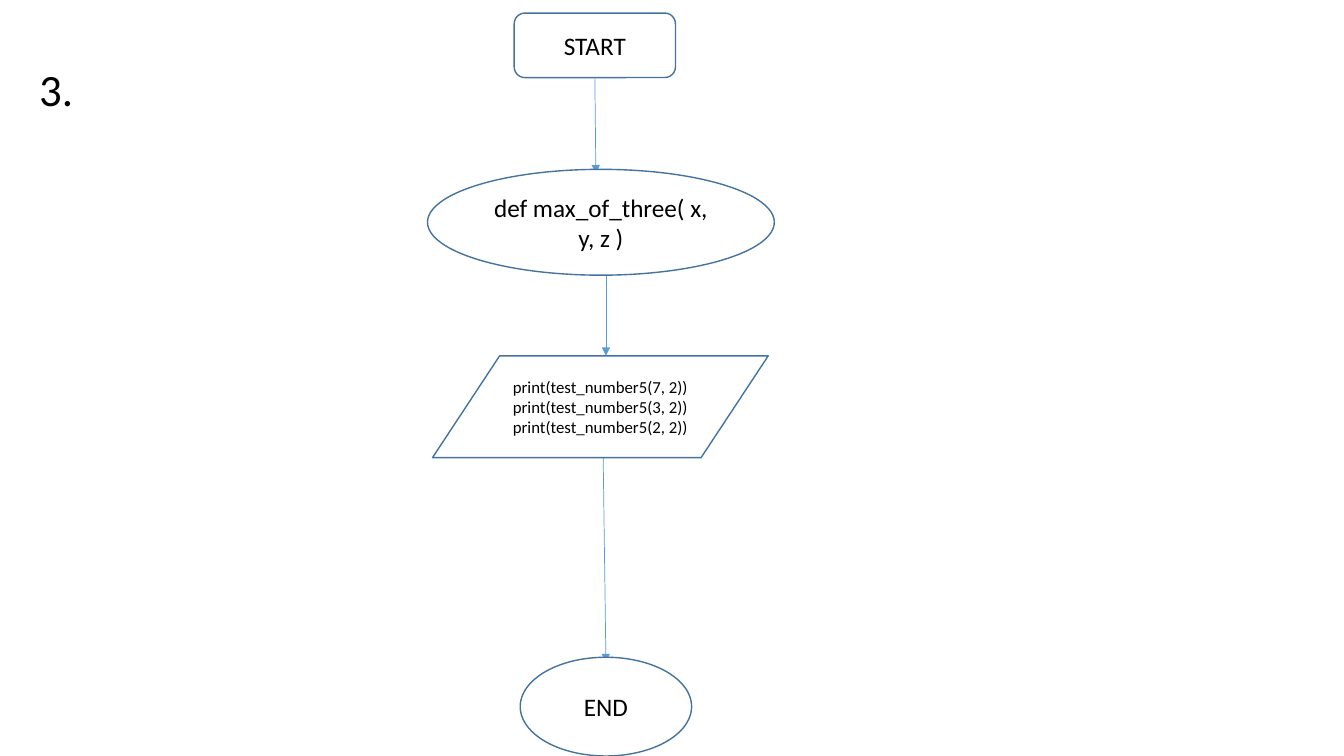
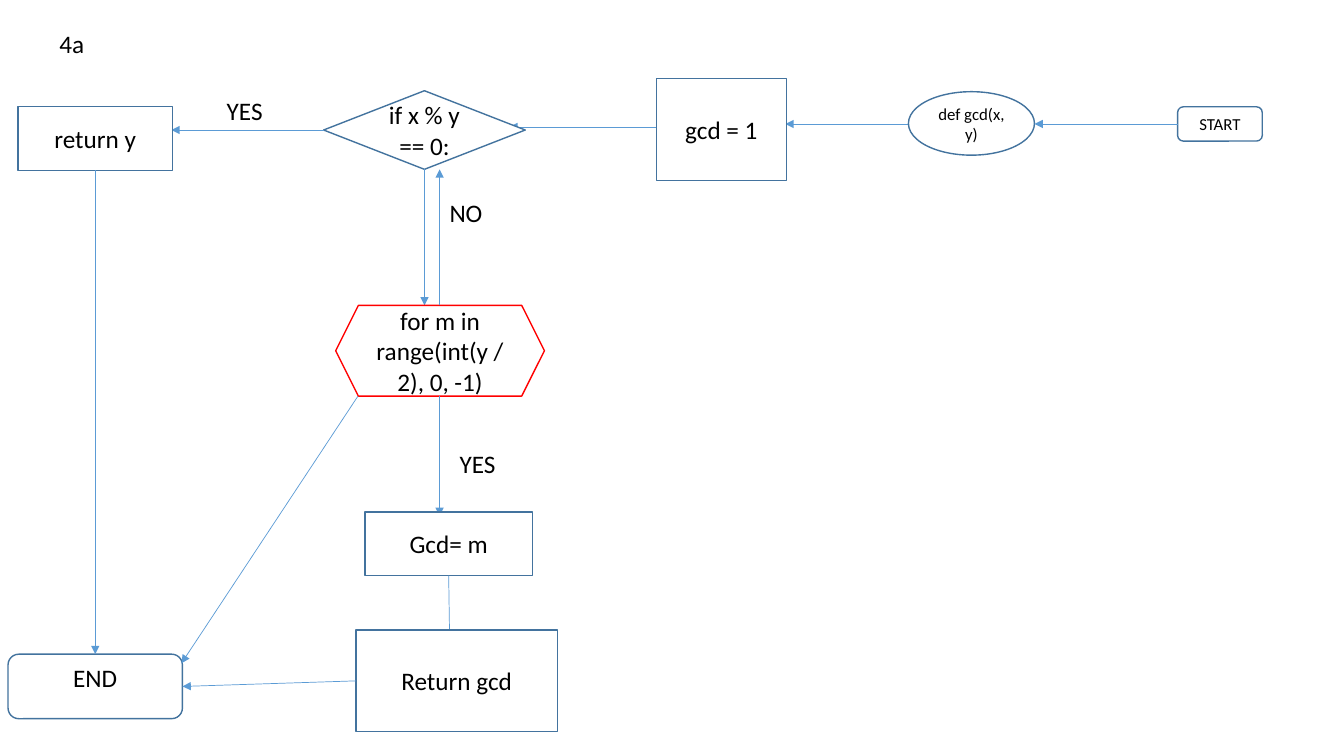
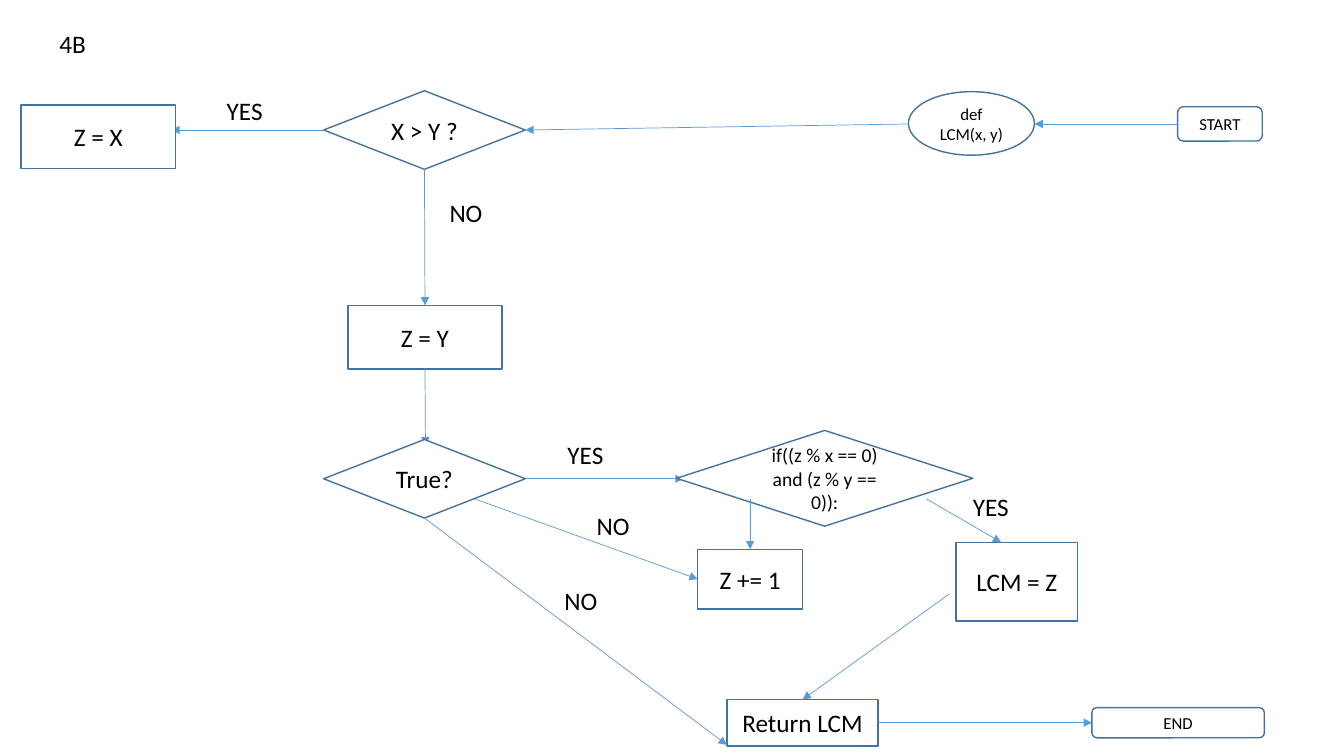
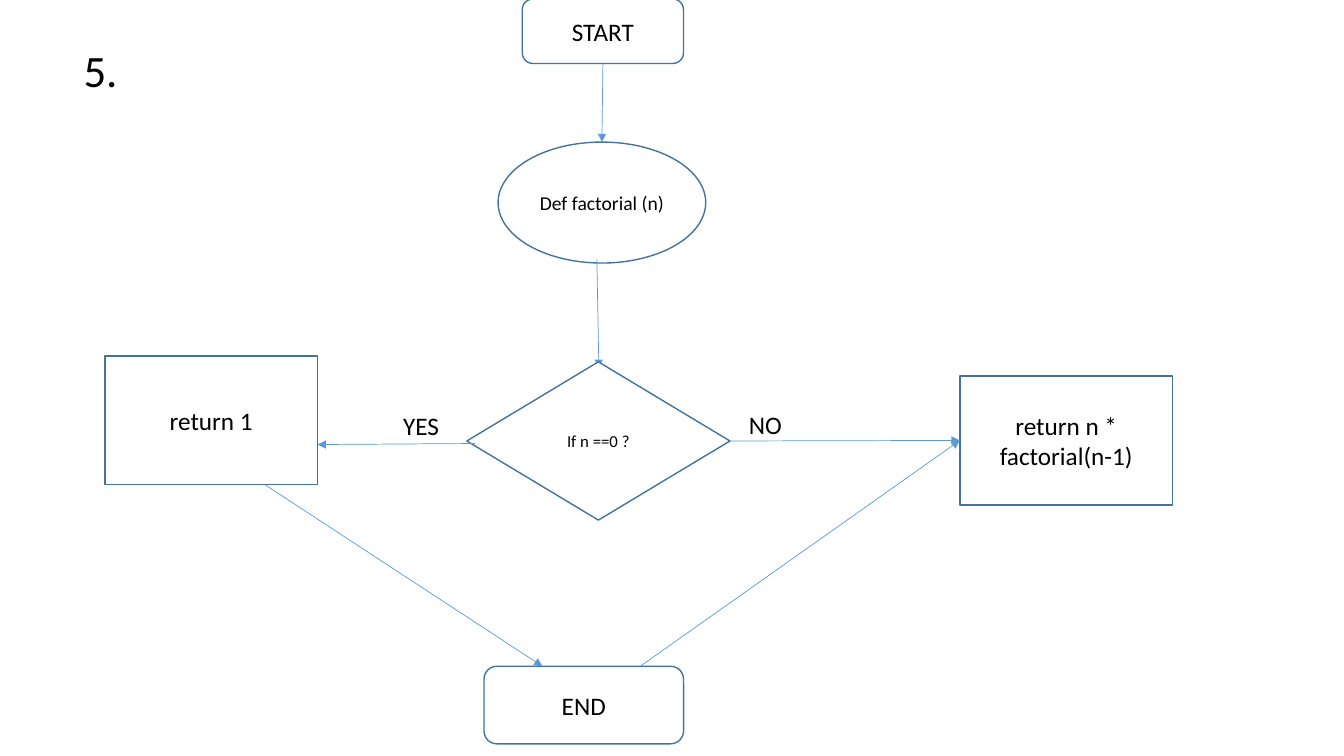
from pptx import Presentation
from pptx.dml.color import RGBColor
from pptx.enum.shapes import MSO_CONNECTOR, MSO_SHAPE
from pptx.enum.text import MSO_ANCHOR, MSO_AUTO_SIZE, PP_ALIGN
from pptx.oxml.ns import qn
from pptx.util import Pt
from lxml import etree

RECT = MSO_SHAPE.RECTANGLE
ROUND = MSO_SHAPE.ROUNDED_RECTANGLE
OVAL = MSO_SHAPE.OVAL
DIAMOND = MSO_SHAPE.DIAMOND
HEXAGON = MSO_SHAPE.HEXAGON
DATA = MSO_SHAPE.FLOWCHART_DATA
STRAIGHT = MSO_CONNECTOR.STRAIGHT
TOP_ANCHOR, MIDDLE = MSO_ANCHOR.TOP, MSO_ANCHOR.MIDDLE
LEFT_ALIGN, CENTER = PP_ALIGN.LEFT, PP_ALIGN.CENTER
GROW = MSO_AUTO_SIZE.SHAPE_TO_FIT_TEXT
TOP, LEFT, BOTTOM, RIGHT = range(4)

PX = 9144
FONT = "Calibri"
COLORS = {
    "text": "000000",
    "fill": "FFFFFF",
    "outline": "43739E",
    "loop": "FF0000",
    "arrow": "5B9BD5",
}


def color(name):
    return RGBColor.from_string(COLORS[name])


def is_point(end):
    return isinstance(end[0], int)


class Flowchart:
    def __init__(self, prs):
        self.prs = prs
        self.s = None

    def new_slide(self):
        self.s = self.prs.slides.add_slide(self.prs.slide_layouts[6])

    def set_text(self, tf, text, size, align):
        tf.word_wrap = True
        for i, line in enumerate(text.split("\n")):
            p = tf.paragraphs[0] if i == 0 else tf.add_paragraph()
            p.text = line
            p.alignment = align
            p.font.name = FONT
            p.font.size = Pt(size)
            p.font.color.rgb = color("text")

    def node(self, kind, x, y, w, h, text, size=18, outline="outline", anchor=MIDDLE):
        sp = self.s.shapes.add_shape(kind, x * PX, y * PX, w * PX, h * PX)
        sp.shadow.inherit = False
        sp.fill.solid()
        sp.fill.fore_color.rgb = color("fill")
        sp.line.color.rgb = color(outline)
        sp.line.width = Pt(1)
        sp.text_frame.vertical_anchor = anchor
        self.set_text(sp.text_frame, text, size, CENTER)
        return sp

    def label(self, x, y, w, text, size=18, h=40):
        sp = self.s.shapes.add_textbox(x * PX, y * PX, w * PX, h * PX)
        self.set_text(sp.text_frame, text, size, LEFT_ALIGN)
        sp.text_frame.auto_size = GROW

    def number(self, x, y, w, text):
        self.label(x, y, w, text, size=32, h=64)

    def arrow(self, start, end):
        (x1, y1), (x2, y2) = [e if is_point(e) else (0, 0) for e in (start, end)]
        c = self.s.shapes.add_connector(STRAIGHT, x1 * PX, y1 * PX, x2 * PX, y2 * PX)
        if not is_point(start):
            c.begin_connect(*start)
        if not is_point(end):
            c.end_connect(*end)
        c.line.color.rgb = color("arrow")
        c.line.width = Pt(0.5)
        props = c.element.spPr
        etree.SubElement(props.find(qn("a:ln")), qn("a:tailEnd"), type="triangle")
        etree.SubElement(props, qn("a:effectLst"))

    def decision_row(self, title, signature, test):
        self.label(49, 23, 111, title)
        start = self.node(ROUND, 1168, 106, 84, 34, "START", 12)
        self.node(OVAL, 901, 91, 125, 63, signature, 12)
        self.arrow((start, LEFT), (1026, 123))
        check = self.node(DIAMOND, 321, 90, 200, 78, test)
        self.arrow((check, LEFT), (170, 129))
        self.label(215, 90, 74, "YES")
        self.label(436, 191, 69, "NO")
        return check


def max_of_three(d):
    d.new_slide()
    start = d.node(ROUND, 510, 13, 160, 64, "START")
    d.arrow((start, BOTTOM), (591, 172))
    d.arrow((601, 273), (601, 353))
    d.arrow((598, 435), (601, 657))
    d.node(OVAL, 516, 652, 170, 98, "END")
    calls = "\n".join(f"print(test_number5({n}, 2))" for n in (7, 3, 2))
    d.node(DATA, 429, 353, 333, 101, calls, 12)
    d.node(OVAL, 424, 168, 344, 105, "def max_of_three( x, y, z )")
    d.number(29, 56, 168, "3.")


def gcd(d):
    d.new_slide()
    d.arrow((901, 123), (779, 123))
    d.node(RECT, 651, 78, 129, 101, "gcd = 1")
    d.arrow((651, 126), (505, 126))
    check = d.decision_row("4a", "def gcd(x, y)", "if x % y == 0:")
    return_y = d.node(RECT, 18, 106, 153, 63, "return y")
    end = d.node(ROUND, 8, 649, 173, 64, "END", anchor=TOP_ANCHOR)
    d.arrow((return_y, BOTTOM), (end, TOP))
    d.arrow((check, BOTTOM), (421, 303))
    d.node(HEXAGON, 333, 303, 207, 90, "for m in range(int(y / 2), 0, -1)", outline="loop")
    d.arrow((355, 393), (180, 658))
    d.arrow((436, 303), (436, 168))
    d.arrow((436, 393), (436, 512))
    d.label(446, 440, 86, "YES")
    assign = d.node(RECT, 362, 508, 166, 63, "Gcd= m")
    d.arrow((assign, BOTTOM), (446, 637))
    return_gcd = d.node(RECT, 353, 625, 200, 101, "Return gcd")
    d.arrow((return_gcd, LEFT), (end, RIGHT))


def lcm(d):
    d.new_slide()
    check = d.decision_row("4B", "def LCM(x, y)", "X > Y ?")
    d.arrow((901, 123), (check, RIGHT))
    d.node(RECT, 21, 104, 153, 63, "Z = X")
    end = d.node(ROUND, 1083, 702, 171, 30, "END", 12)
    z_is_y = d.node(RECT, 345, 303, 153, 63, "Z = Y")
    d.arrow((check, BOTTOM), (z_is_y, TOP))
    d.arrow((z_is_y, BOTTOM), (422, 442))
    loop = d.node(DIAMOND, 321, 436, 200, 78, "True?")
    d.arrow((loop, RIGHT), (678, 475))
    return_lcm = d.node(RECT, 721, 694, 150, 46, "Return LCM")
    d.arrow((loop, BOTTOM), (721, 739))
    d.arrow((return_lcm, RIGHT), (end, LEFT))
    d.node(DIAMOND, 671, 427, 294, 95, "if((z % x == 0) and (z % y == 0)):", 14)
    step = d.node(RECT, 692, 545, 104, 59, "Z += 1")
    d.node(RECT, 948, 538, 121, 78, "LCM = Z")
    d.arrow((471, 495), (step, LEFT))
    d.arrow((744, 495), (step, TOP))
    d.arrow((919, 495), (993, 538))
    d.arrow((942, 589), (return_lcm, TOP))
    for x, y, text in ((553, 431, "YES"), (582, 501, "NO"), (550, 576, "NO"), (955, 483, "YES")):
        d.label(x, y, 86, text)


def factorial(d):
    d.new_slide()
    d.node(OVAL, 494, 141, 206, 120, "Def factorial (n)", 14)
    start = d.node(ROUND, 518, -1, 160, 64, "START")
    d.arrow((start, BOTTOM), (597, 141))
    d.arrow((592, 257), (594, 365))
    check = d.node(DIAMOND, 463, 359, 261, 157, "If n ==0 ?", 12)
    d.node(ROUND, 480, 661, 198, 77, "END")
    d.node(RECT, 104, 353, 211, 128, "return 1")
    recurse = d.node(RECT, 952, 373, 211, 128, "return n * factorial(n-1)")
    d.arrow((check, RIGHT), (recurse, LEFT))
    d.arrow((471, 440), (315, 441))
    d.arrow((263, 481), (538, 661))
    d.arrow((635, 661), (recurse, LEFT))
    d.label(733, 401, 63, "NO")
    d.label(390, 402, 90, "YES")
    d.number(73, 37, 149, "5.")


def main():
    prs = Presentation()
    prs.slide_width = 1333 * PX
    prs.slide_height = 750 * PX
    d = Flowchart(prs)
    for build in (max_of_three, gcd, lcm, factorial):
        build(d)
    prs.save("out.pptx")


if __name__ == "__main__":
    main()
